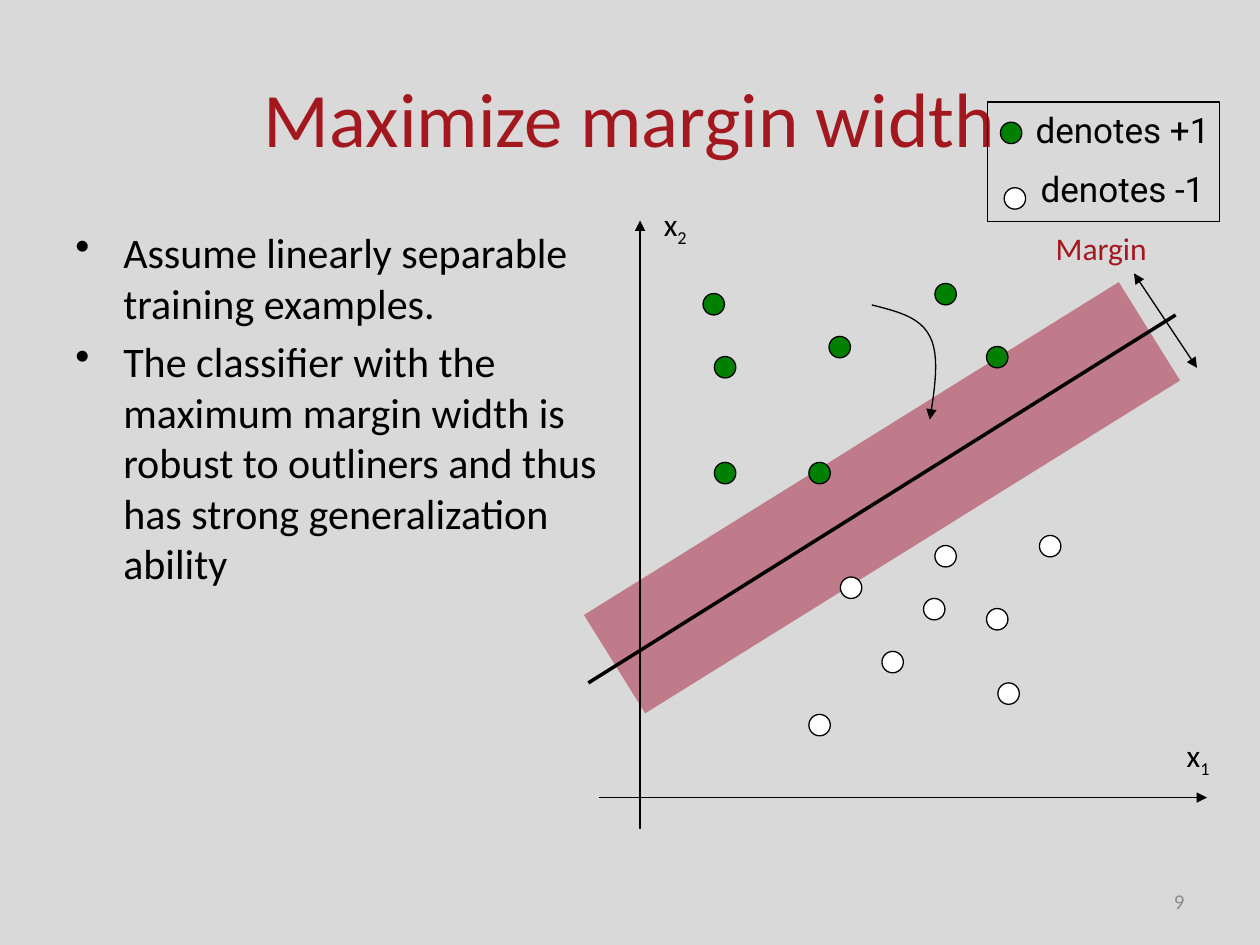
from pptx import Presentation
from pptx.util import Inches, Pt
from pptx.dml.color import RGBColor
from pptx.enum import shapes as sh, text as tx
from pptx.oxml import ns
from lxml import etree

HUE = {"back": "D9D9D9", "red": "A3171E", "ink": "000000", "band": "C07B8A",
       "plus": "008000", "minus": "FFFFFF", "gray": "8C8C8C"}
DOT = 0.17
PLUS = [(1.08, 0.83), (1.17, 1.33), (2.08, 1.17), (1.17, 2.17),
        (1.92, 2.17), (2.92, 0.75), (3.33, 1.25)]
MINUS = [(2.17, 3.08), (2.92, 2.83), (2.83, 3.25), (3.33, 3.33),
         (3.75, 2.75), (2.5, 3.67), (1.92, 4.17), (3.42, 3.92)]
CURVE = [[(2.88, 1.83), (2.92, 1.58), (2.96, 1.32), (2.88, 1.17)],
         [(2.88, 1.17), (2.8, 1.01), (2.61, 0.97), (2.42, 0.92)]]

prs = Presentation()
prs.slide_width, prs.slide_height = Inches(10), Inches(7.5)
slide = prs.slides.add_slide(prs.slide_layouts[6])


def color(name):
    return RGBColor.from_string(HUE[name])


def outline(line, width, ends=()):
    line.color.rgb = color("ink")
    line.width = Pt(width)
    for end in ends:
        etree.SubElement(line._get_or_add_ln(), ns.qn("a:" + end), type="triangle")


def shape(kind, x, y, w, h, fill=None, width=0.75):
    part = slide.shapes.add_shape(kind, *map(Inches, (x, y, w, h)))
    part.shadow.inherit = False
    if fill:
        part.fill.solid()
        part.fill.fore_color.rgb = color(fill)
    else:
        part.fill.background()
    if width:
        outline(part.line, width)
    else:
        part.line.fill.background()
    return part


def dot(x, y, fill):
    shape(sh.MSO_SHAPE.OVAL, x, y, DOT, DOT, fill)


def line(x1, y1, x2, y2, width, ends=()):
    part = slide.shapes.add_connector(sh.MSO_CONNECTOR.STRAIGHT,
                                      *map(Inches, (x1, y1, x2, y2)))
    outline(part.line, width, ends)
    etree.SubElement(part._element.spPr, ns.qn("a:effectLst"))


def label(x, y, w, h, lines, size, hue="ink", align="LEFT", anchor="TOP",
          wrap=True, font="Calibri", before=0):
    frame = slide.shapes.add_textbox(*map(Inches, (x, y, w, h))).text_frame
    frame.word_wrap = wrap
    frame.vertical_anchor = tx.MSO_ANCHOR[anchor]
    for i, words in enumerate(lines):
        para = frame.add_paragraph() if i else frame.paragraphs[0]
        para.add_run().text = words
        para.alignment = tx.PP_ALIGN[align]
        para.space_before = Pt(before)
        para.font.size, para.font.name = Pt(size), font
        para.font.color.rgb = color(hue)
    return frame


def bullets(x, y, w, h, lines):
    for para in label(x, y, w, h, lines, 24, before=4.8).paragraphs:
        props = para._p.get_or_add_pPr()
        props.set("marL", str(Inches(0.38)))
        props.set("indent", str(-Inches(0.38)))
        mark = etree.Element(ns.qn("a:buChar"), char="•")
        props.find(ns.qn("a:defRPr")).addprevious(mark)


def axis_name(x, y, index):
    para = label(x, y, 0.42, 0.4, ["x"], 18, wrap=False).paragraphs[0]
    low = para.add_run()
    low.text = index
    low.font._element.set("baseline", "-25000")


def bend(x, y):
    # Cubic curve from the arrow tip to its start
    spots = []
    for a, b, c, d in CURVE:
        for i in range(13):
            t = i / 12
            s = 1 - t
            spots.append(tuple(
                s**3 * a[k] + 3 * s * s * t * b[k] + 3 * s * t * t * c[k] + t**3 * d[k]
                for k in (0, 1)))
    spots = [(Inches(x + p), Inches(y + q)) for p, q in spots]
    path = slide.shapes.build_freeform(*spots[0])
    path.add_line_segments(spots[1:], close=False)
    part = path.convert_to_shape()
    part.shadow.inherit = False
    part.fill.background()
    outline(part.line, 0.75, ["headEnd"])


def plot(x, y):
    # Margin band and axes
    band = shape(sh.MSO_SHAPE.RECTANGLE, x, y + 1.99, 5, 0.92, "band", 0)
    band.rotation = 328.1
    line(x + 0.25, y + 4.83, x + 5.08, y + 4.83, 1, ["tailEnd"])
    line(x + 0.58, y + 5.08, x + 0.58, y + 0.25, 1, ["tailEnd"])
    # Training examples
    for spots, fill in ((MINUS, "minus"), (PLUS, "plus")):
        for dx, dy in spots:
            dot(x + dx, y + dy, fill)
    # Boundary, arrows and names
    line(x + 0.17, y + 3.92, x + 4.83, y + 1, 2)
    bend(x, y)
    line(x + 4.5, y + 0.67, x + 5, y + 1.42, 0.75, ["headEnd", "tailEnd"])
    label(x + 3.78, y + 0.27, 0.97, 0.4, ["Margin"], 18, "red", wrap=False)
    axis_name(x + 4.82, y + 4.29, "1")
    axis_name(x + 0.67, y + 0.08, "2")


def legend(x, y):
    label(x + 0.03, y, 2.08, 0.93, ["denotes +1", "denotes -1"], 20,
          align="CENTER", font="Roboto", before=10)
    dot(x + 0.13, y + 0.68, "minus")
    dot(x + 0.1, y + 0.16, "plus")
    shape(sh.MSO_SHAPE.RECTANGLE, x, y, 1.84, 0.95)


# Slide
slide.background.fill.solid()
slide.background.fill.fore_color.rgb = color("back")
label(0.5, 0.3, 9, 1.25, ["Maximize margin width"], 44, "red", "CENTER", "MIDDLE")
bullets(0.5, 1.75, 4.58, 5.5, [
    "Assume linearly separable training examples.",
    "The classifier with the maximum margin width is robust to outliners "
    "and thus has strong generalization ability"])
plot(4.5, 1.5)
legend(7.84, 0.81)
label(7.17, 6.95, 2.33, 0.4, ["9"], 12, "gray", "RIGHT", "MIDDLE")
prs.save("out.pptx")
